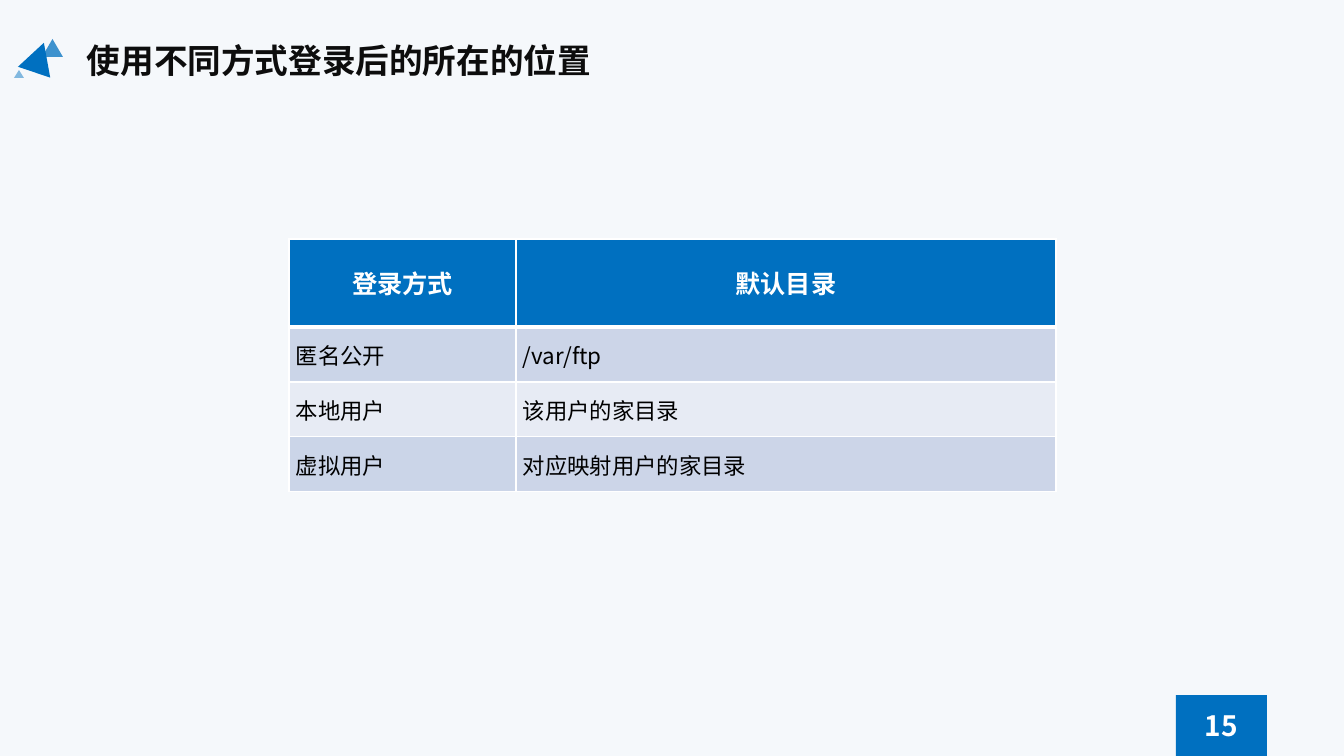
import dataclasses
import typing

import lxml.etree
import pptx
import pptx.dml.color
import pptx.enum.shapes
import pptx.enum.text
import pptx.oxml.ns
import pptx.util

SCALE = 12192000 / 1344
ALIGN = pptx.enum.text.PP_ALIGN
KIND = pptx.enum.shapes.MSO_SHAPE


@dataclasses.dataclass(frozen=True)
class Theme:
    font: str = "Noto Sans CJK SC"
    back: str = "F5F8FB"
    blue: str = "0070C0"
    white: str = "FFFFFF"
    ink: str = "0D0D0D"
    black: str = "000000"
    odd: tuple[str, str] = ("CBD5E8", "CCD5E8")
    even: tuple[str, str] = ("E7EBF4", "E7EBF4")
    title: int = 24
    page: int = 20
    head: int = 18
    body: int = 16
    thin: int = 1
    thick: int = 3


@dataclasses.dataclass(frozen=True)
class Box:
    left: int
    top: int
    width: int
    height: int

    def emu(self) -> list[int]:
        return [px(side) for side in dataclasses.astuple(self)]


@dataclasses.dataclass(frozen=True)
class Shape:
    kind: KIND
    box: Box
    turn: float = 0
    alpha: int = 100


THEME = Theme()
LOGO = (
    Shape(KIND.ISOSCELES_TRIANGLE, Box(42, 39, 21, 18), alpha=75),
    Shape(KIND.ISOSCELES_TRIANGLE, Box(22, 42, 34, 31), turn=18.5),
    Shape(KIND.ISOSCELES_TRIANGLE, Box(14, 70, 10, 8), alpha=47),
)
BADGE = Shape(KIND.RECTANGLE, Box(1176, 695, 91, 61))
GRID = Box(289, 239, 767, 253)
WIDTHS = (227, 540)
HEIGHTS = (88, 55, 55, 55)
ROWS = (
    ("登录方式", "默认目录"),
    ("匿名公开", "/var/ftp"),
    ("本地用户", "该用户的家目录"),
    ("虚拟用户", "对应映射用户的家目录"),
)


def px(count: int) -> int:
    return round(count * SCALE)


def rgb(code: str) -> pptx.dml.color.RGBColor:
    return pptx.dml.color.RGBColor.from_string(code)


def sub(node: typing.Any, tag: str, **attrs: str) -> typing.Any:
    return lxml.etree.SubElement(node, pptx.oxml.ns.qn(tag), attrs)


def write(frame: typing.Any, text: str, *, size: int, color: str,
          bold: bool = False, align: ALIGN = ALIGN.LEFT) -> None:
    para = frame.paragraphs[0]
    para.alignment = align
    run = para.add_run()
    run.text = text
    font = run.font
    font.size = pptx.util.Pt(size)
    font.bold = bold
    font.color.rgb = rgb(color)
    font.name = THEME.font
    sub(run._r.get_or_add_rPr(), "a:ea", typeface=THEME.font)


def label(slide: typing.Any, box: Box, text: str, **style: typing.Any) -> None:
    frame = slide.shapes.add_textbox(*box.emu()).text_frame
    frame.word_wrap = True
    write(frame, text, **style)


def draw(slide: typing.Any, item: Shape) -> None:
    shape = slide.shapes.add_shape(item.kind, *item.box.emu())
    shape.rotation = item.turn
    shape.shadow.inherit = False
    shape.line.fill.background()
    shape.fill.solid()
    shape.fill.fore_color.rgb = rgb(THEME.blue)
    if item.alpha < 100:
        tint = shape._element.spPr.find(".//" + pptx.oxml.ns.qn("a:srgbClr"))
        sub(tint, "a:alpha", val=str(item.alpha * 1000))


def edge(cell: typing.Any, row: int) -> None:
    """Rule a cell on all sides, with a thick rule under the header."""
    props = cell._tc.get_or_add_tcPr()
    heavy = {0: "B", 1: "T"}.get(row)
    for spot, side in enumerate("LRTB"):
        width = THEME.thick if side == heavy else THEME.thin
        line = sub(props, f"a:ln{side}", w=str(pptx.util.Pt(width)))
        sub(sub(line, "a:solidFill"), "a:srgbClr", val=THEME.white)
        props.insert(spot, line)


def fill(cell: typing.Any, text: str, row: int, col: int) -> None:
    cell.margin_left = cell.margin_right = px(7)
    cell.margin_top = cell.margin_bottom = 0
    cell.vertical_anchor = pptx.enum.text.MSO_ANCHOR.MIDDLE
    cell.fill.solid()
    if row == 0:
        shade = THEME.blue
        write(cell.text_frame, text, size=THEME.head, color=THEME.white,
              bold=True, align=ALIGN.CENTER)
    else:
        shade = (THEME.odd if row % 2 else THEME.even)[col]
        write(cell.text_frame, text, size=THEME.body, color=THEME.black,
              align=ALIGN.JUSTIFY)
    cell.fill.fore_color.rgb = rgb(shade)
    edge(cell, row)


def table(slide: typing.Any) -> None:
    grid = slide.shapes.add_table(len(ROWS), len(WIDTHS), *GRID.emu()).table
    for column, width in zip(grid.columns, WIDTHS):
        column.width = px(width)
    for line, height in zip(grid.rows, HEIGHTS):
        line.height = px(height)
    for row, texts in enumerate(ROWS):
        for col, text in enumerate(texts):
            fill(grid.cell(row, col), text, row, col)


def main() -> None:
    deck = pptx.Presentation()
    deck.slide_width, deck.slide_height = px(1344), px(756)
    slide = deck.slides.add_slide(deck.slide_layouts[6])
    slide.background.fill.solid()
    slide.background.fill.fore_color.rgb = rgb(THEME.back)
    label(slide, Box(77, 35, 596, 50), "使用不同方式登录后的所在的位置",
          size=THEME.title, color=THEME.ink, bold=True)
    for item in (*LOGO, BADGE):
        draw(slide, item)
    label(slide, Box(1189, 704, 65, 44), "15", size=THEME.page,
          color=THEME.white, bold=True, align=ALIGN.CENTER)
    table(slide)
    deck.save("out.pptx")


if __name__ == "__main__":
    main()
